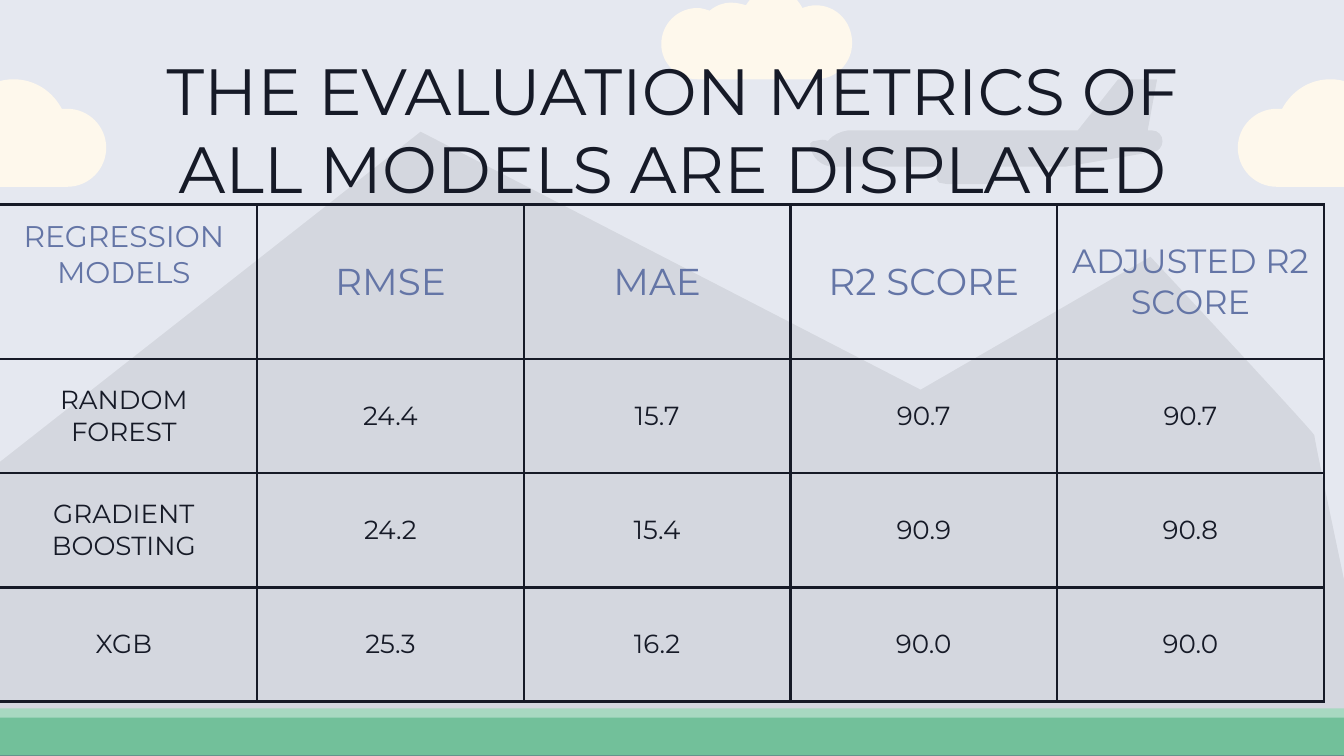
from lxml.etree import SubElement as Sub
from pptx import Presentation
from pptx.dml.color import RGBColor
from pptx.enum.text import MSO_ANCHOR as Anchor, PP_ALIGN as Align
from pptx.oxml.ns import qn
from pptx.util import Inches, Pt

deck = Presentation()
deck.slide_width, deck.slide_height = Inches(10), Inches(5.625)
unit = deck.slide_width // 10  # square grid, ten columns wide
slide = deck.slides.add_slide(deck.slide_layouts[6])
shapes = slide.shapes
tint = RGBColor.from_string
INK, BLUE, CREAM, SHADE = "161A27", "6475A6", "FEF8EC", "000000"
FONT = "Montserrat"


def trace(steps):
    """Outline from steps of one point (line) or three points (Bezier curve)."""
    dots = [(round(x * unit), round(y * unit))
            for step in steps for x, y in zip(step[::2], step[1::2])]
    pen = shapes.build_freeform(*dots[0])
    pen.add_line_segments(dots[1:], close=True)
    shape = pen.convert_to_shape()
    lines = iter(list(shape._element.iter(qn("a:lnTo"))))
    for step in steps[1:]:
        first = next(lines)
        if len(step) == 6:
            first.tag = qn("a:cubicBezTo")
            for extra in (next(lines), next(lines)):
                first.append(extra[0])
                extra.getparent().remove(extra)
    return shape


def paint(shape, color, alpha=None):
    """Fill without line or shadow; alpha is the opacity in percent."""
    shape.shadow.inherit = False
    shape.fill.solid()
    shape.fill.fore_color.rgb = tint(color)
    shape.line.fill.background()
    if alpha:
        node = shape.fill._xPr.find(qn("a:solidFill"))[0]
        Sub(node, qn("a:alpha"), val=str(alpha * 1000))


slide.background.fill.solid()
slide.background.fill.fore_color.rgb = tint("E5E8F0")

# Mountains
hills = [(3.13, 0.98), (-0.17, 3.57), (-0.93, 3.26), (-2.41, 5.27), (-2.5, 5.38),
         (-2.55, 5.45), (-2.55, 5.47, -2.55, 5.5, -2.55, 5.52),
         (-2.52, 5.58, -2.46, 5.62, -2.39, 5.62), (-2.39, 5.63, -2.39, 5.63, -2.39, 5.64),
         (-2.39, 5.71, -2.33, 5.77, -2.26, 5.77), (-2.24, 5.77),
         (-2.24, 5.84, -2.19, 5.9, -2.12, 5.9), (9.84, 5.9),
         (9.91, 5.9, 9.97, 5.84, 9.97, 5.77), (10.04, 5.76, 10.1, 5.71, 10.1, 5.64),
         (10.1, 5.63, 10.09, 5.63, 10.09, 5.62), (10.11, 5.62),
         (10.15, 5.62, 10.18, 5.61, 10.21, 5.59), (10.21, 5.54, 10.21, 5.49, 10.21, 5.45),
         (10.21, 5.42, 10.21, 5.4, 10.21, 5.38), (10.21, 5.35, 10.23, 5.31, 10.21, 5.3),
         (10.21, 5.3, 9.77, 3.24, 9.78, 3.24), (9.79, 3.23, 8.56, 1.91, 8.56, 1.91),
         (6.85, 2.9)]
paint(trace(hills), SHADE, 7)

# Ground
soil = [(-2.25, 5.51), (-2.32, 5.51, -2.37, 5.57, -2.37, 5.64),
        (-2.37, 5.71, -2.32, 5.77, -2.25, 5.77), (9.92, 5.77),
        (9.99, 5.77, 10.05, 5.71, 10.05, 5.64), (10.05, 5.57, 9.99, 5.51, 9.92, 5.51)]
lawn = [(-2.37, 5.27), (-2.42, 5.27, -2.46, 5.29, -2.5, 5.32),
        (-2.53, 5.35, -2.55, 5.4, -2.55, 5.45), (-2.55, 5.46, -2.55, 5.47, -2.54, 5.48),
        (-2.53, 5.56, -2.46, 5.62, -2.37, 5.62), (10.06, 5.62),
        (10.15, 5.62, 10.22, 5.56, 10.24, 5.48), (10.24, 5.47, 10.24, 5.46, 10.24, 5.45),
        (10.24, 5.35, 10.16, 5.27, 10.06, 5.27)]
turf = [(-2.37, 5.34), (-2.42, 5.34, -2.46, 5.36, -2.5, 5.39),
        (-2.52, 5.42, -2.54, 5.45, -2.54, 5.48), (-2.53, 5.56, -2.46, 5.62, -2.37, 5.62),
        (10.06, 5.62), (10.15, 5.62, 10.22, 5.56, 10.24, 5.48),
        (10.22, 5.4, 10.15, 5.34, 10.06, 5.34)]
for band, color in [(soil, "3C4768"), (lawn, "A8D8C1"), (turf, "72C09A")]:
    paint(trace(band), color)

# Plane
plane = [(8.32, 0.59), (8.02, 0.97), (6.31, 0.97), (6.25, 0.98, 6.2, 1, 6.16, 1.05),
         (6.15, 1.04, 6.13, 1.04, 6.12, 1.04), (6.1, 1.04, 6.07, 1.05, 6.05, 1.05),
         (6.03, 1.06, 6.02, 1.07, 6.03, 1.09), (6.04, 1.17, 6.11, 1.24, 6.2, 1.24),
         (6.97, 1.24), (6.97, 1.33), (6.97, 1.34, 6.98, 1.35, 6.99, 1.36),
         (7.01, 1.36, 7.03, 1.37, 7.05, 1.37), (7.4, 1.37), (7.4, 1.34), (7.44, 1.34),
         (7.44, 1.24), (7.93, 1.24), (8.58, 1.13), (8.62, 1.13, 8.65, 1.09, 8.65, 1.05),
         (8.65, 1.01, 8.62, 0.97, 8.57, 0.97), (8.54, 0.97), (8.61, 0.59)]
paint(trace(plane), SHADE, 7)

# Clouds: the left one mirrors the right one
right = [(9.9, 0.59), (9.74, 0.59, 9.61, 0.68, 9.54, 0.81),
         (9.53, 0.81, 9.52, 0.81, 9.5, 0.81), (9.34, 0.81, 9.21, 0.94, 9.21, 1.1),
         (9.21, 1.26, 9.34, 1.39, 9.5, 1.39), (10.36, 1.39),
         (10.56, 1.39, 10.73, 1.22, 10.73, 1.02), (10.73, 0.81, 10.56, 0.65, 10.36, 0.65),
         (10.29, 0.65, 10.22, 0.66, 10.17, 0.7), (10.1, 0.63, 10, 0.59, 9.9, 0.59)]
left = [[v if i % 2 else 10 - v for i, v in enumerate(step)] for step in right]
high = [(5.76, -0.08), (5.67, -0.08, 5.59, -0.03, 5.55, 0.04),
        (5.52, 0.03, 5.48, 0.02, 5.44, 0.02), (5.38, 0.02, 5.33, 0.04, 5.28, 0.08),
        (5.25, 0.07, 5.22, 0.06, 5.19, 0.06), (5.04, 0.06, 4.92, 0.18, 4.92, 0.33),
        (4.92, 0.47, 5.04, 0.59, 5.19, 0.59), (6.07, 0.59),
        (6.22, 0.59, 6.34, 0.47, 6.34, 0.32), (6.34, 0.16, 6.22, 0.04, 6.07, 0.04),
        (6.03, 0.04, 6, 0.05, 5.97, 0.06), (5.93, -0.02, 5.85, -0.08, 5.76, -0.08)]
for cloud in (right, left, high):
    paint(trace(cloud), CREAM)

# Title
pad = unit // 10
sides = ("margin_left", "margin_right", "margin_top", "margin_bottom")
title = shapes.add_textbox(*[round(v * unit) for v in (0.79, 0.27, 8.43, 0.74)])
frame = title.text_frame
frame.word_wrap = True
frame.vertical_anchor = Anchor.TOP
for side in sides:
    setattr(frame, side, pad)
frame.text = "THE EVALUATION METRICS OF ALL MODELS ARE DISPLAYED"
line = frame.paragraphs[0]
line.alignment = Align.CENTER
for key, value in {"name": FONT, "size": Pt(35), "bold": False}.items():
    setattr(line.font, key, value)
line.font.color.rgb = tint(INK)

# Metrics table
rows = [("REGRESSION MODELS", "RMSE", "MAE", "R2 SCORE", "ADJUSTED R2 SCORE"),
        ("RANDOM FOREST", "24.4", "15.7", "90.7", "90.7"),
        ("GRADIENT BOOSTING", "24.2", "15.4", "90.9", "90.8"),
        ("XGB", "25.3", "16.2", "90.0", "90.0")]
heads = (16, 20, 20, 20, 18)
box = [round(v * unit) for v in (-0.07, 1.52, 9.92, 3.7)]
table = shapes.add_table(len(rows), len(heads), *box).table
table.first_row = table.horz_banding = False
for col in table.columns:
    col.width = box[2] // len(heads)
for r, row in enumerate(rows):
    table.rows[r].height = round((0.85 if r else 1.15) * unit)
    for c, text in enumerate(row):
        cell = table.cell(r, c)
        cell.text = text
        cell.vertical_anchor = Anchor.MIDDLE
        for side in sides:
            setattr(cell, side, pad)
        para = cell.text_frame.paragraphs[0]
        para.alignment = Align.CENTER
        size = 14 if r else heads[c]
        for key, value in {"name": FONT, "size": Pt(size), "bold": False}.items():
            setattr(para.font, key, value)
        para.font.color.rgb = tint(INK if r else BLUE)
        props = cell._tc.get_or_add_tcPr()
        for edge in ("a:lnL", "a:lnR", "a:lnT", "a:lnB"):
            rule = Sub(props, qn(edge), w=str(Pt(1.5)))
            Sub(Sub(rule, qn("a:solidFill")), qn("a:srgbClr"), val=INK)
        cell.fill.background()
table.cell(0, 0).margin_bottom = pad * 5  # lifts the first heading

deck.save("out.pptx")
